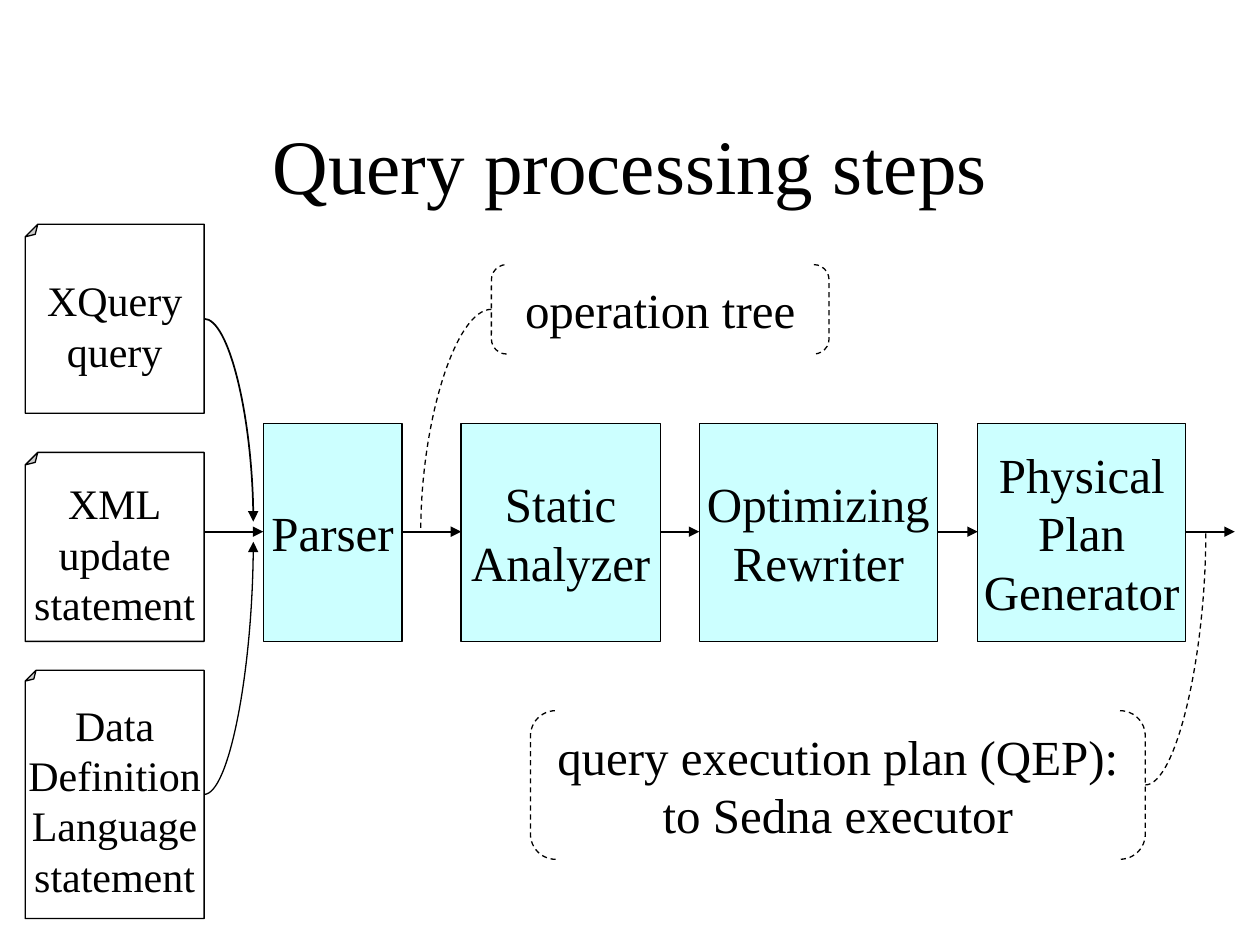
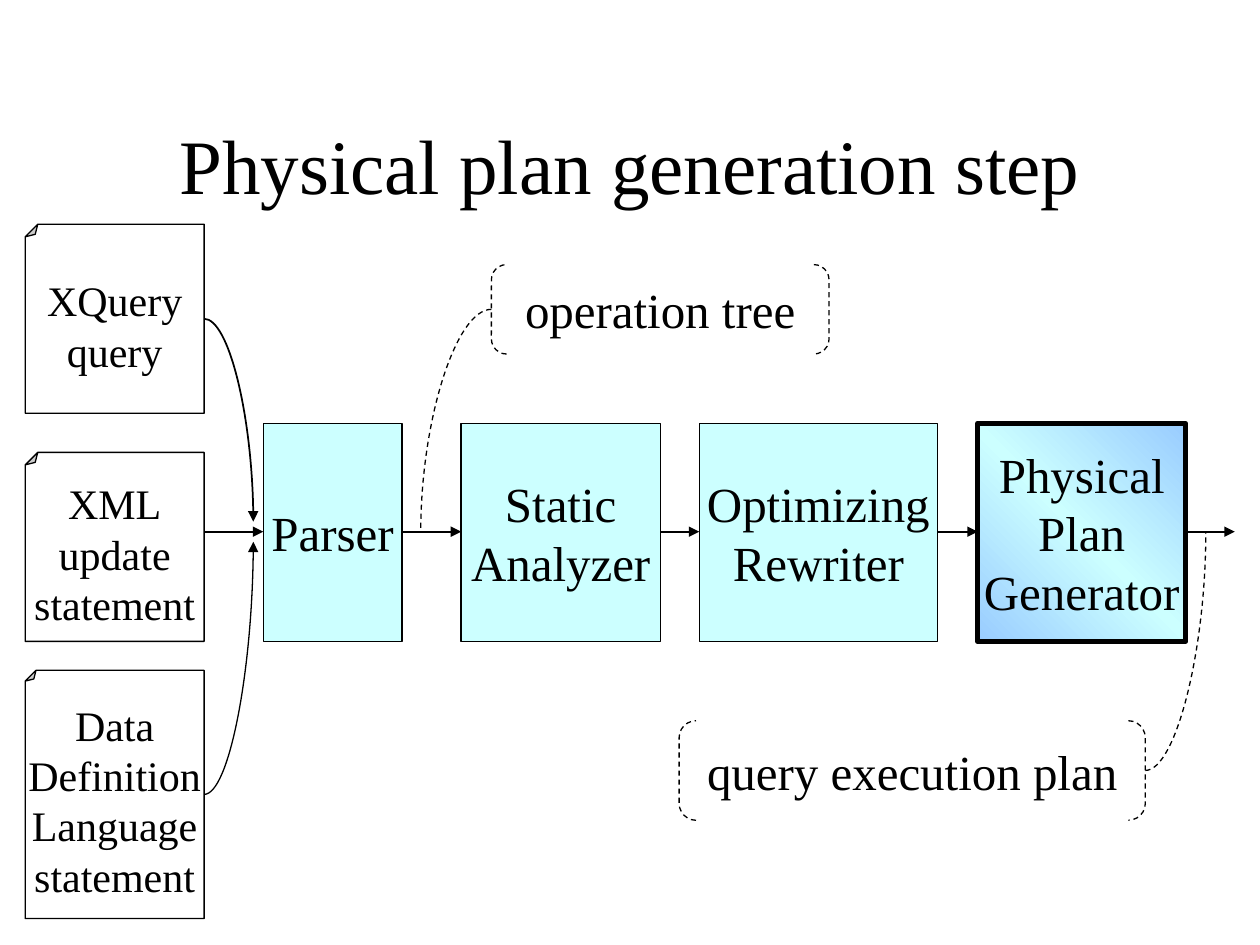
from copy import deepcopy
from dataclasses import dataclass

from lxml.etree import SubElement
from pptx import Presentation
from pptx.dml.color import RGBColor
from pptx.enum.dml import MSO_LINE as Dash
from pptx.enum.shapes import MSO_CONNECTOR as Link, MSO_SHAPE as Form
from pptx.enum.text import MSO_ANCHOR as Anchor, PP_ALIGN as Align
from pptx.oxml.ns import qn
from pptx.util import Inches, Pt


@dataclass(frozen=True)
class Theme:
    font: str = "Times New Roman"
    ink: str = "000000"
    paper: str = "FFFFFF"
    aqua: str = "CCFFFF"
    blue: str = "99CCFF"
    title: int = 44
    label: int = 28
    small: int = 24
    thin: float = 0.75
    mid: float = 1
    thick: float = 3


T = Theme()
FLOW_Y = 4.22

# Source documents: text, top, height, fold size
DOCS = [
    ("XQuery\nquery", 1.78, 1.5, 0.07),
    ("XML\nupdate\nstatement", 3.59, 1.5, 0.07),
    ("Data\nDefinition\nLanguage\nstatement", 5.32, 1.97, 0.06),
]
# Processing steps: text, left, width
STEPS = [
    ("Parser", 2.09, 1.1),
    ("Static\nAnalyzer", 3.66, 1.58),
    ("Optimizing\nRewriter", 5.55, 1.89),
    ("Physical\nPlan\nGenerator", 7.76, 1.65),
]


def rgb(code):
    return RGBColor.from_string(code)


def write(shape, text, size=T.label, wrap=False):
    """Fill a shape with centred lines of text."""
    frame = shape.text_frame
    frame.word_wrap = wrap
    frame.vertical_anchor = Anchor.MIDDLE
    frame.text = text
    for para in frame.paragraphs:
        para.alignment = Align.CENTER
        font = para.font
        font.name, font.size = T.font, Pt(size)
        font.color.rgb = rgb(T.ink)


def stroke(line, width, dash=False):
    line.color.rgb = rgb(T.ink)
    line.width = Pt(width)
    if dash:
        line.dash_style = Dash.DASH


def adjust(shape, share):
    """Set the one adjustment of a preset shape."""
    guides = shape._element.spPr.find(qn("a:prstGeom")).find(qn("a:avLst"))
    for guide in list(guides):
        guides.remove(guide)
    SubElement(guides, qn("a:gd"), name="adj", fmla=f"val {round(share * 100000)}")


def add_form(slide, form, box, text, size=T.label, fill=None, width=T.thin, dash=False):
    shape = slide.shapes.add_shape(form, *map(Inches, box))
    shape.shadow.inherit = False
    if fill:
        shape.fill.solid()
        shape.fill.fore_color.rgb = rgb(fill)
    else:
        shape.fill.background()
    stroke(shape.line, width, dash)
    write(shape, text, size=size)
    return shape


def add_link(slide, start, end, curve=False, arrow=True, width=T.mid, dash=False):
    kind = Link.CURVE if curve else Link.STRAIGHT
    link = slide.shapes.add_connector(kind, *map(Inches, (*start, *end)))
    stroke(link.line, width, dash)
    props = link._element.spPr
    if curve:
        # One bend: leaves sideways, arrives upright
        props.find(qn("a:prstGeom")).set("prst", "curvedConnector2")
    if arrow:
        SubElement(props.find(qn("a:ln")), qn("a:tailEnd"), type="triangle")
    SubElement(props, qn("a:effectLst"))


def add_title(slide, box, text):
    write(slide.shapes.add_textbox(*map(Inches, box)), text, size=T.title, wrap=True)


def glow(shape):
    """Mark a step with a heavy frame and a diagonal blend."""
    fill = shape.fill
    fill.gradient()
    fill.gradient_angle = 225
    stops = shape._element.spPr.find(".//" + qn("a:gsLst"))
    stops.append(deepcopy(stops[-1]))
    for stop, spot, code in zip(fill.gradient_stops, (0, 0.5, 1), (T.blue, T.aqua, T.blue)):
        stop.position = spot
        stop.color.rgb = rgb(code)
    stroke(shape.line, T.thick)


def add_docs(slide, left, width):
    """Stack the documents and lead each one to the parser."""
    edge = left + width
    bend = edge + 0.39
    for text, top, high, fold in DOCS:
        page = add_form(slide, Form.FOLDED_CORNER, (left, top, width, high), text,
                        size=T.small, fill=T.paper)
        adjust(page, fold)
        # Fold at the upper left, text still upright
        page.rotation = 180
        page.text_frame._txBody.bodyPr.set("rot", str(180 * 60000))
    first, _, last = (top + high / 2 for _, top, high, _ in DOCS)
    add_link(slide, (edge, first), (bend, FLOW_Y - 0.08), curve=True)
    add_link(slide, (edge, FLOW_Y), (STEPS[0][1], FLOW_Y))
    add_link(slide, (edge, last), (bend, FLOW_Y + 0.08), curve=True, width=T.thin)


def add_steps(slide, top, high, end, mark):
    """Set the steps in a row, each with an arrow to the next."""
    nexts = [left for _, left, _ in STEPS[1:]] + [end]
    for (text, left, width), goal in zip(STEPS, nexts):
        step = add_form(slide, Form.FLOWCHART_PROCESS, (left, top, width, high), text,
                        fill=T.aqua)
        if mark and goal == end:
            glow(step)
        add_link(slide, (left + width, FLOW_Y), (goal, FLOW_Y))


def add_note(slide, box, text, spot):
    """Bracket a note and tie its nearer side to a spot on the flow."""
    left, top, width, high = box
    note = add_form(slide, Form.DOUBLE_BRACKET, box, text, dash=True)
    adjust(note, 0.17)
    side = left if spot < left else left + width
    add_link(slide, (side, top + high / 2), (spot, FLOW_Y), curve=True, arrow=False,
             width=T.thin, dash=True)


def add_flow(deck, title, plan, box, mark=False):
    slide = deck.slides.add_slide(deck.slide_layouts[6])
    add_title(slide, (0.75, 0.67, 8.5, 1.25), title)
    add_steps(slide, 3.36, 1.73, 9.8, mark)
    add_docs(slide, 0.2, 1.42)
    add_note(slide, box, plan, 9.57)
    add_note(slide, (3.9, 2.1, 2.68, 0.71), "operation tree", 3.34)


def main():
    deck = Presentation()
    deck.slide_width, deck.slide_height = Inches(10), Inches(7.5)
    add_flow(deck, "Query processing steps",
             "query execution plan (QEP):\nto Sedna executor", (4.21, 5.64, 4.88, 1.18))
    add_flow(deck, "Physical plan generation step",
             "query execution plan", (5.39, 5.72, 3.7, 0.79), mark=True)
    deck.save("out.pptx")


if __name__ == "__main__":
    main()
